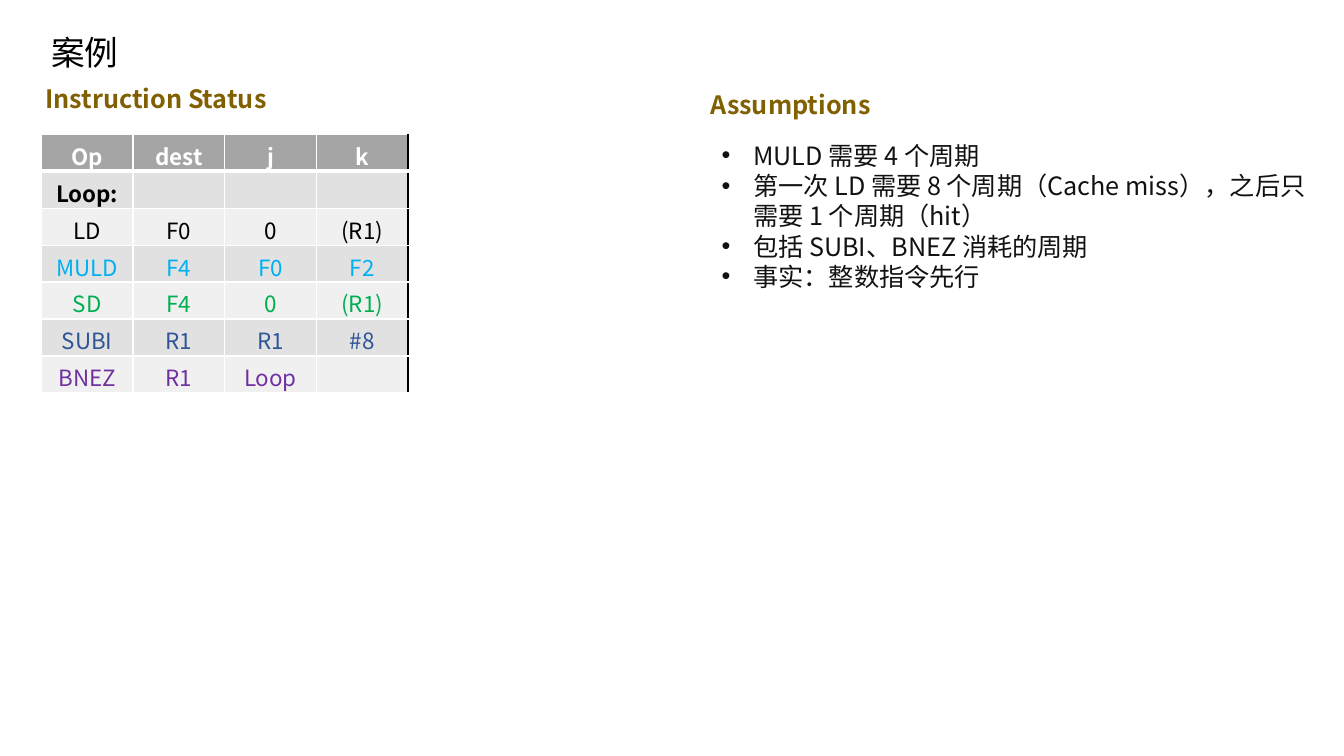
from lxml import etree
from pptx import Presentation
from pptx import util as u
from pptx.dml.color import RGBColor
from pptx.enum import text
from pptx.oxml.ns import qn

Pt = u.Pt
FONT = "Noto Sans CJK SC"
BLACK, WHITE, BROWN = "000000", "FFFFFF", "806000"

# One row per instruction: cells, text colour, bold
INSTRUCTIONS = [
    (("Op", "dest", "j", "k"), WHITE, True),
    (("Loop:", "", "", ""), BLACK, True),
    (("LD", "F0", "0", "(R1)"), BLACK, False),
    (("MULD", "F4", "F0", "F2"), "00B0F0", False),
    (("SD", "F4", "0", "(R1)"), "00B050", False),
    (("SUBI", "R1", "R1", "#8"), "2F5597", False),
    (("BNEZ", "R1", "Loop", ""), "7030A0", False),
]
ASSUMPTIONS = [
    "MULD 需要 4 个周期",
    "第一次 LD 需要 8 个周期（Cache miss），之后只需要 1 个周期（hit）",
    "包括 SUBI、BNEZ 消耗的周期",
    "事实：整数指令先行",
]


def rgb(hex_color):
    return RGBColor.from_string(hex_color)


def put_text(p, value, size=18, color=BLACK, bold=False, align=None, spacing=None):
    r = p.add_run()
    r.text = value
    r.font.size, r.font.bold, r.font.name = Pt(size), bold, FONT
    r.font.color.rgb = rgb(color)
    etree.SubElement(r.font._element, qn("a:ea"), typeface=FONT)
    p.alignment = align
    p.line_spacing = spacing
    p.space_before = Pt(0)


def place(sp, x, y, w, h):
    sp.left, sp.top, sp.width, sp.height = Pt(x), Pt(y), Pt(w), Pt(h)


def add_title(s, x, y, w, h):
    sp = s.shapes.title
    place(sp, x, y, w, h)
    tf = sp.text_frame
    tf.vertical_anchor = text.MSO_ANCHOR.MIDDLE
    put_text(tf.paragraphs[0], "案例", size=24, align=text.PP_ALIGN.LEFT, spacing=0.9)


def add_heading(s, value, x, y, w, h):
    tf = s.shapes.add_textbox(Pt(x), Pt(y), Pt(w), Pt(h)).text_frame
    tf.word_wrap = False
    tf.auto_size = text.MSO_AUTO_SIZE.SHAPE_TO_FIT_TEXT
    put_text(tf.paragraphs[0], value, color=BROWN, bold=True)


def set_borders(cell, **borders):
    """Draw each named side from its (colour, width in points)."""
    tcPr = cell._tc.get_or_add_tcPr()
    for i, (side, (color, width)) in enumerate(borders.items()):
        ln = etree.Element(qn("a:ln" + side), w=str(Pt(width)))
        fill = etree.SubElement(ln, qn("a:solidFill"))
        etree.SubElement(fill, qn("a:srgbClr"), val=color)
        tcPr.insert(i, ln)


def add_status_table(s, x, y, w, h):
    n_rows, n_cols = len(INSTRUCTIONS), len(INSTRUCTIONS[0][0])
    tbl = s.shapes.add_table(n_rows, n_cols, Pt(x), Pt(y), Pt(w), Pt(h)).table
    for i, (values, color, bold) in enumerate(INSTRUCTIONS):
        fill = "A5A5A5" if i == 0 else "E1E1E1" if i % 2 else "F0F0F0"
        for j, value in enumerate(values):
            cell = tbl.cell(i, j)
            cell.fill.solid()
            cell.fill.fore_color.rgb = rgb(fill)
            cell.vertical_anchor = text.MSO_ANCHOR.MIDDLE
            cell.margin_top = cell.margin_bottom = Pt(3.6 if value else 0)
            if value:
                put_text(cell.text_frame.paragraphs[0], value, size=16, color=color,
                         bold=bold, align=text.PP_ALIGN.CENTER)
            set_borders(cell, L=(WHITE, 1),
                        R=(BLACK if j == n_cols - 1 else WHITE, 1),
                        T=(WHITE, 3 if i == 1 else 1),
                        B=(WHITE, 3 if i == 0 else 1))


def add_assumptions(s, x, y, w, h):
    sp = s.placeholders[1]
    place(sp, x, y, w, h)
    tf = sp.text_frame
    tf.word_wrap = True
    tf.auto_size = text.MSO_AUTO_SIZE.NONE
    for i, value in enumerate(ASSUMPTIONS):
        p = tf.add_paragraph() if i else tf.paragraphs[0]
        put_text(p, value, color="121212")
        pPr = p._p.get_or_add_pPr()
        pPr.set("marL", str(Pt(22.5)))
        pPr.set("indent", str(-Pt(22.5)))
        etree.SubElement(pPr, qn("a:buFont"), typeface="Arial")
        etree.SubElement(pPr, qn("a:buChar"), char="•")


def main():
    prs = Presentation()
    prs.slide_width, prs.slide_height = Pt(960), Pt(540)
    s = prs.slides.add_slide(prs.slide_layouts[1])
    add_title(s, 29.5, 14.4, 828, 49)
    # Left: instruction table
    add_heading(s, "Instruction Status", 25.2, 56.2, 176.4, 28.8)
    add_status_table(s, 29.5, 95.8, 262, 185)
    # Right: assumptions
    add_heading(s, "Assumptions", 500.4, 60.5, 133.2, 28.8)
    add_assumptions(s, 508.3, 96.5, 432.7, 116.6)
    prs.save("out.pptx")


if __name__ == "__main__":
    main()
